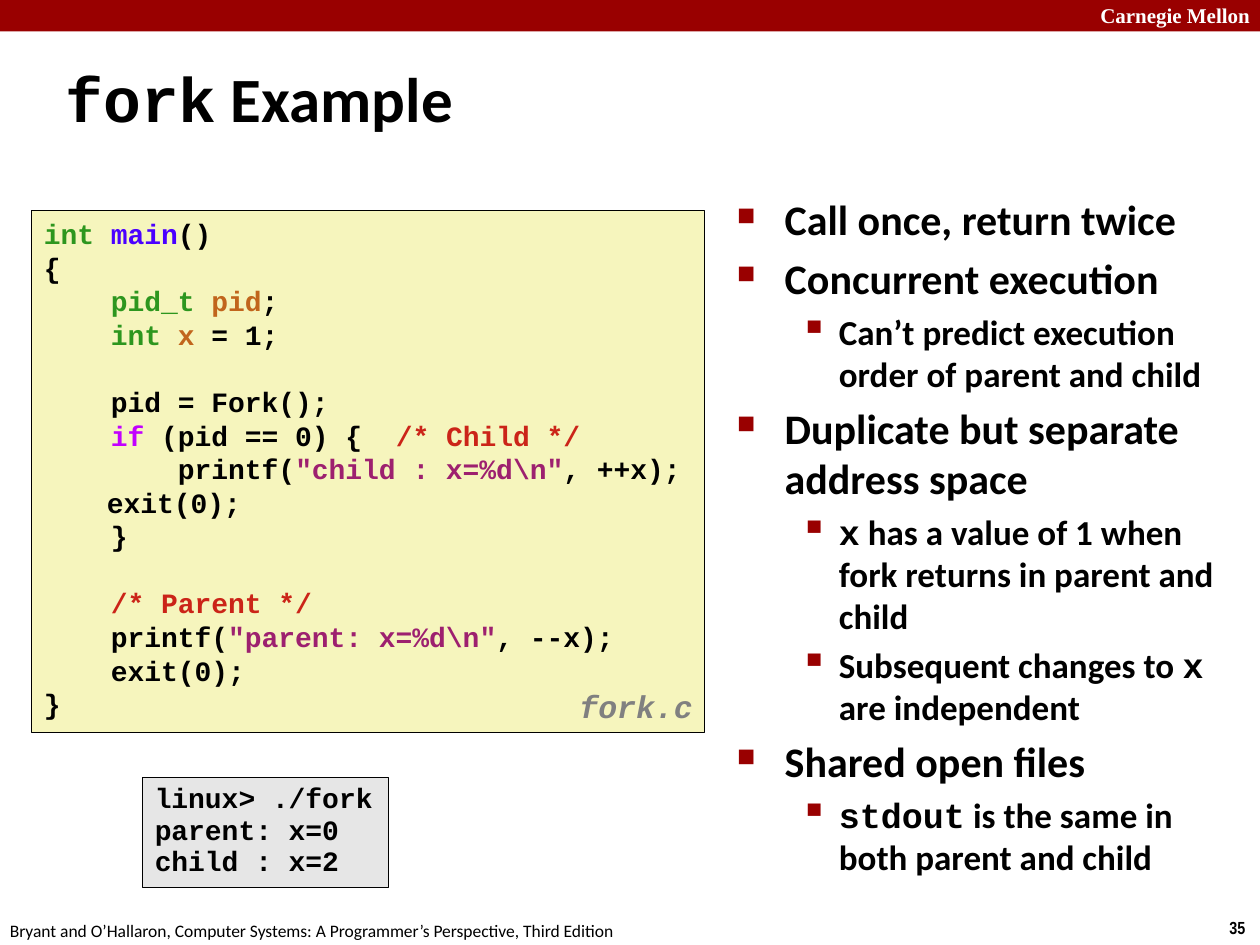
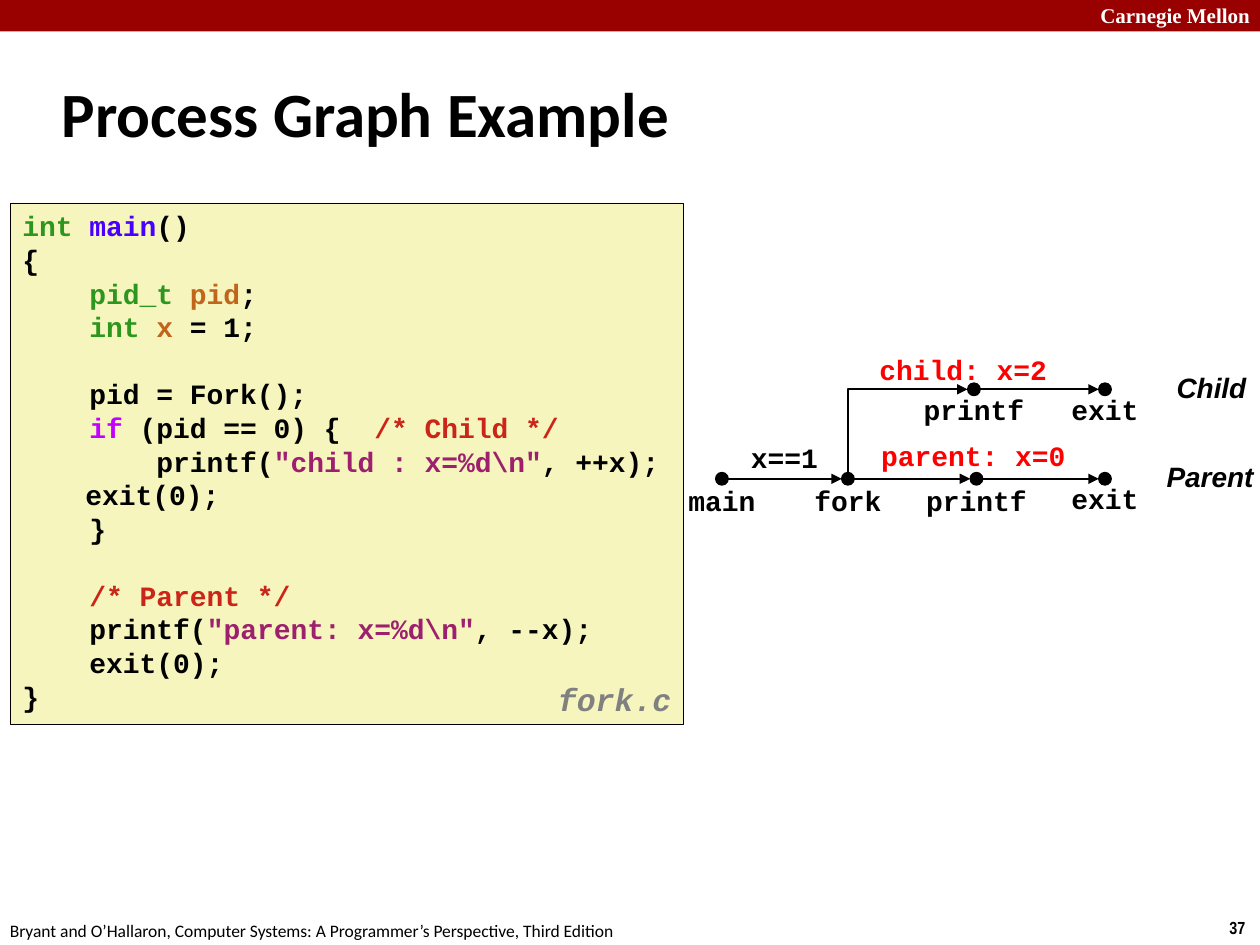
from dataclasses import dataclass
from lxml.etree import SubElement
from pptx import Presentation
from pptx.dml.color import RGBColor
from pptx.enum.shapes import MSO_CONNECTOR, MSO_SHAPE
from pptx.enum.text import MSO_ANCHOR, MSO_AUTO_SIZE, PP_ALIGN
from pptx.oxml.ns import qn
from pptx.util import Inches, Pt


@dataclass(frozen=True)
class Theme:
    black: str = "000000"
    white: str = "FFFFFF"
    brand: str = "990000"
    paper: str = "F6F5BD"
    shell: str = "E6E6E6"
    grey: str = "808080"
    alert: str = "FF0000"
    kind: str = "2D961E"
    func: str = "4A00FF"
    name: str = "C1651C"
    word: str = "C200FF"
    note: str = "CB2418"
    quote: str = "9D206F"
    sans: str = "Calibri"
    mono: str = "Courier New"
    serif: str = "Times New Roman"
    narrow: str = "Arial Narrow"
    plain: str = "Arial"
    title: int = 36
    head: int = 24
    body: int = 20
    file: int = 18
    code: int = 16
    band: int = 12
    foot: int = 10


T = Theme()
MONO = {"face": T.mono}
CODE = [
    [("int ", {"ink": T.kind}), ("main", {"ink": T.func}), "()"],
    "{",
    ["    ", ("pid_t ", {"ink": T.kind}), ("pid", {"ink": T.name}), ";"],
    ["    ", ("int ", {"ink": T.kind}), ("x", {"ink": T.name}), " = 1;"],
    "",
    "    pid = Fork();",
    ["    ", ("if", {"ink": T.word}), " (pid == 0) {  ", ("/* Child */", {"ink": T.note})],
    ["        printf(", ("\"child : x=%d\\n\"", {"ink": T.quote}), ", ++x);"],
    "\texit(0);",
    "    }",
    "",
    ["    ", ("/* Parent */", {"ink": T.note})],
    ["    printf(", ("\"parent: x=%d\\n\"", {"ink": T.quote}), ", --x);"],
    "    exit(0);",
    "}",
]
POINTS = [
    (0, "Call once, return twice"),
    (0, "Concurrent execution"),
    (1, "Can’t predict execution order of parent and child"),
    (0, "Duplicate but separate address space"),
    (1, [("x", MONO), " has a value of 1 when fork returns in parent and child"]),
    (1, ["Subsequent changes to ", ("x", MONO), " are independent"]),
    (0, "Shared open files"),
    (1, [("stdout", MONO), " is the same in both parent and child"]),
]
LEVELS = [
    {"size": T.head, "left": 0.38, "hang": 0.38, "mark": "■", "scale": 60},
    {"size": T.body, "left": 0.81, "hang": 0.31, "mark": "▪", "scale": 110},
]
SITES = {0: (0.5, 0), 2: (0, 0.5), 6: (1, 0.5)}
DOT = 0.1


def tint(hue):
    return RGBColor.from_string(hue)


def fill_line(para, line, face, size, bold=True, italic=False, ink=T.black):
    for part in [line] if isinstance(line, str) else line:
        words, extra = (part, {}) if isinstance(part, str) else part
        run = para.add_run()
        run.text = words
        font = run.font
        font.name = extra.get("face", face)
        font.size, font.bold, font.italic = Pt(size), bold, italic
        font.color.rgb = tint(extra.get("ink", ink))


def text(shape, lines, align=PP_ALIGN.LEFT, anchor=MSO_ANCHOR.TOP, wrap=True, gap=None, **style):
    frame = shape.text_frame
    frame.word_wrap, frame.vertical_anchor = wrap, anchor
    frame.auto_size = MSO_AUTO_SIZE.NONE
    for i, line in enumerate(lines):
        para = frame.add_paragraph() if i else frame.paragraphs[0]
        para.alignment, para.line_spacing = align, gap
        fill_line(para, line, **style)


def place(slide, box):
    return slide.shapes.add_textbox(*map(Inches, box))


def panel(slide, box, hue, line=None, kind=MSO_SHAPE.RECTANGLE):
    shape = slide.shapes.add_shape(kind, *map(Inches, box))
    shape.shadow.inherit = False
    shape.fill.solid()
    shape.fill.fore_color.rgb = tint(hue)
    if line:
        shape.line.color.rgb = tint(T.black)
        shape.line.width = Pt(line)
    else:
        shape.line.fill.background()
    return shape


def indent(para, left, hang):
    props = para._p.get_or_add_pPr()
    props.set("marL", str(Inches(left)))
    props.set("indent", str(-Inches(hang)))
    return props


def start(deck, box, title, page):
    slide = deck.slides.add_slide(deck.slide_layouts[5])
    panel(slide, (0, 0, 10, 0.25), T.brand)
    text(place(slide, (8.5, -0.03, 1.52, 0.3)), ["Carnegie Mellon"], align=PP_ALIGN.RIGHT,
         face=T.serif, size=T.band, ink=T.white)
    text(place(slide, (9.66, 7.23, 0.34, 0.27)), [page], wrap=False, face=T.narrow, size=T.foot)
    text(place(slide, (-0.02, 7.25, 5.08, 0.27)),
         ["Bryant and O’Hallaron, Computer Systems: A Programmer’s Perspective, Third Edition"],
         wrap=False, face=T.sans, size=T.foot, bold=False)
    head = slide.shapes.title
    head.left, head.top, head.width, head.height = map(Inches, box)
    text(head, [title], anchor=MSO_ANCHOR.MIDDLE, face=T.sans, size=T.title)
    indent(head.text_frame.paragraphs[0], 0.13, 0.13)
    return slide


def listing(slide, x, y):
    text(panel(slide, (x, y, 5.34, 4.14), T.paper, 0.25), CODE, face=T.mono, size=T.code)
    text(place(slide, (x + 4.25, y + 3.76, 1.17, 0.39)), ["fork.c"], wrap=False, gap=0.94,
         face=T.mono, size=T.file, italic=True, ink=T.grey)


def shell(slide, box):
    text(panel(slide, box, T.shell, 0.25), ["linux> ./fork", "parent: x=0", "child : x=2"],
         wrap=False, gap=0.94, face=T.mono, size=T.code)


def points(slide, box):
    frame = place(slide, box).text_frame
    frame.word_wrap = True
    for i, (depth, line) in enumerate(POINTS):
        level = LEVELS[depth]
        para = frame.add_paragraph() if i else frame.paragraphs[0]
        para.level = depth
        props = indent(para, level["left"], level["hang"])
        SubElement(SubElement(props, qn("a:buClr")), qn("a:srgbClr")).set("val", T.brand)
        SubElement(props, qn("a:buSzPct")).set("val", str(level["scale"] * 1000))
        SubElement(props, qn("a:buChar")).set("char", level["mark"])
        if i:
            para.space_before = Pt(level["size"] * 0.2)
        fill_line(para, line, T.sans, level["size"])


def link(slide, first, out, last, into, kind=MSO_CONNECTOR.STRAIGHT, tip="tailEnd"):
    ends = []
    for dot, site in ((first, out), (last, into)):
        across, down = SITES[site]
        ends += [int(dot.left + dot.width * across), int(dot.top + dot.height * down)]
    line = slide.shapes.add_connector(kind, *ends)
    line.line.color.rgb = tint(T.black)
    line.line.width = Pt(1)
    props = line._element.spPr
    SubElement(props.find(qn("a:ln")), qn(f"a:{tip}")).set("type", "triangle")
    SubElement(props, qn("a:effectLst"))
    if kind == MSO_CONNECTOR.ELBOW:
        props.find(qn("a:prstGeom")).set("prst", "bentConnector2")
    joins = line._element.find(f".//{qn('p:cNvCxnSpPr')}")
    for tag, dot, site in (("a:stCxn", first, out), ("a:endCxn", last, into)):
        join = SubElement(joins, qn(tag))
        join.set("id", str(dot.shape_id))
        join.set("idx", str(site))


def graph(slide, x, y):
    def label(words, left, top, width, **style):
        look = {"face": T.mono, "align": PP_ALIGN.CENTER, **style}
        text(place(slide, (x + left, y + top, width, 0.37)), [words], size=T.code, **look)

    def node(words, left, top, drop):
        label(words, left - 0.55, top + drop, 1.2)
        return panel(slide, (x + left, y + top, DOT, DOT), T.black, 0.75, MSO_SHAPE.OVAL)

    main, fork, parent, done = [
        node(words, left, 1, drop) for words, left, drop in
        (("main", 0.29, 0.04), ("fork", 1.29, 0.04), ("printf", 2.31, 0.04), ("exit", 3.33, 0.02))]
    child, gone = [node(words, left, 0.29, 0.03) for words, left in (("printf", 2.29), ("exit", 3.33))]
    for first, last in ((main, fork), (fork, parent), (parent, done), (child, gone)):
        link(slide, first, 6, last, 2)
    link(slide, child, 2, fork, 0, MSO_CONNECTOR.ELBOW, "headEnd")
    label("x==1", 0.4, 0.7, 0.87)
    label("child: x=2", 1.25, 0, 2.01, ink=T.alert)
    label("parent: x=0", 1.33, 0.68, 2.01, ink=T.alert)
    side = {"face": T.plain, "italic": True, "align": PP_ALIGN.LEFT, "wrap": False}
    label("Child", 3.85, 0.14, 0.77, **side)
    label("Parent", 3.77, 0.85, 0.92, **side)


def main():
    deck = Presentation()
    deck.slide_width, deck.slide_height = Inches(10), Inches(7.5)
    slide = start(deck, (0.42, 0.46, 6.23, 0.63), [("fork", MONO), " Example"], "35")
    listing(slide, 0.25, 1.67)
    shell(slide, (1.13, 6.17, 1.95, 0.87))
    points(slide, (5.75, 1.49, 4.17, 5.68))
    slide = start(deck, (0.39, 0.48, 8.3, 0.83), "Process Graph Example", "37")
    listing(slide, 0.08, 1.61)
    graph(slide, 5.39, 2.75)
    deck.save("out.pptx")


if __name__ == "__main__":
    main()
